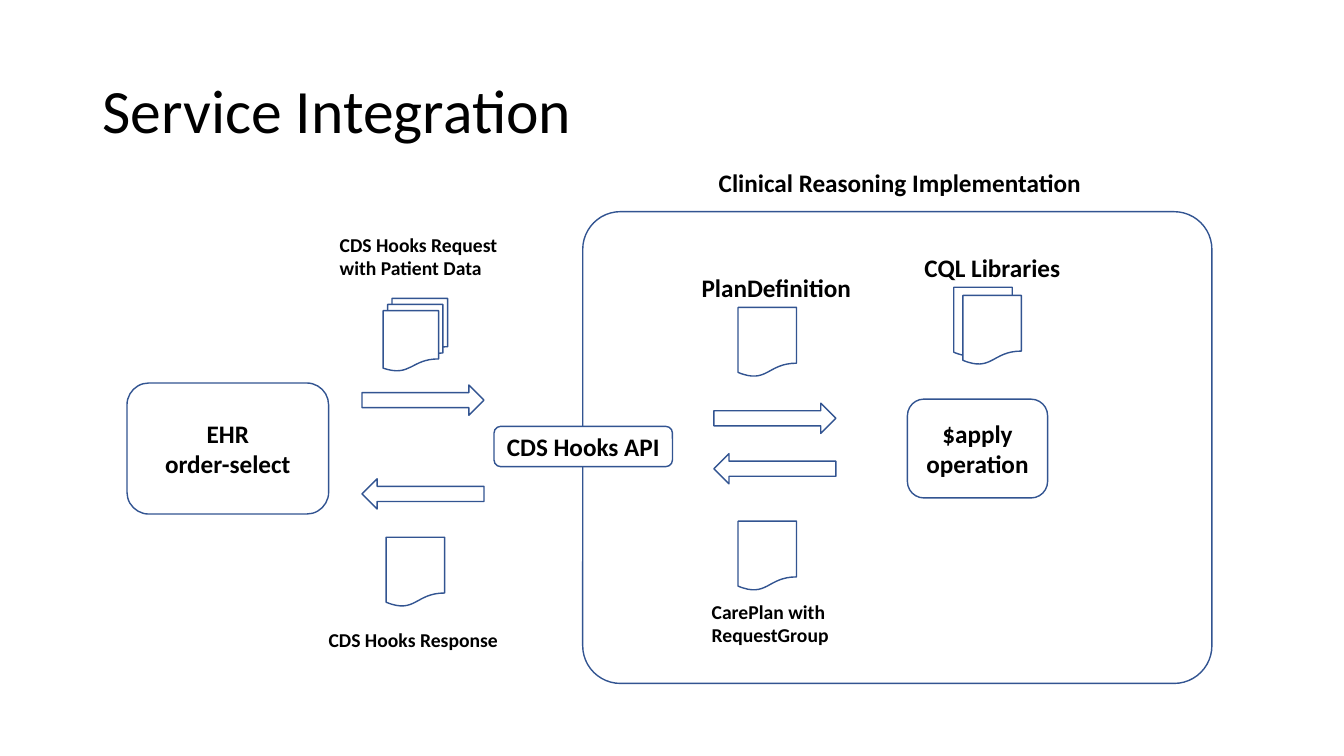
from pptx import Presentation
from pptx.dml.color import RGBColor
from pptx.enum.shapes import MSO_SHAPE
from pptx.enum.text import MSO_ANCHOR, MSO_AUTO_SIZE, PP_ALIGN
from pptx.util import Inches, Pt

WHITE = RGBColor(0xFF, 0xFF, 0xFF)
BLACK = RGBColor(0x00, 0x00, 0x00)
BLUE = RGBColor(0x32, 0x54, 0x91)

# Grid of one-inch columns and rows
COL = ROW = Inches(1)
PAGE = (0.58, 0.69)
ARROW = (1.21, 0.3)


class Board:
    """Holds the style and the current slide."""

    def __init__(self, slide):
        self.shapes = slide.shapes
        self.font = {"name": "Calibri", "size": Pt(18), "bold": True}

    def place(self, left, top, wide, high):
        return [round(left * COL), round(top * ROW),
                round(wide * COL), round(high * ROW)]

    def letter(self, shape, text, align=None, spacing=None, **style):
        frame = shape.text_frame
        frame.text = text
        for para in frame.paragraphs:
            para.alignment = align
            para.line_spacing = spacing
            for key, value in {**self.font, **style}.items():
                setattr(para.font, key, value)
            para.font.color.rgb = BLACK

    def title(self, text, *spot):
        box = self.shapes.add_textbox(*self.place(*spot))
        box.text_frame.word_wrap = True
        box.text_frame.vertical_anchor = MSO_ANCHOR.MIDDLE
        self.letter(box, text, spacing=0.9, size=Pt(44), bold=False)

    def label(self, text, *spot, size=18, wrap=False):
        box = self.shapes.add_textbox(*self.place(*spot))
        self.letter(box, text, size=Pt(size))
        box.text_frame.word_wrap = wrap
        box.text_frame.auto_size = MSO_AUTO_SIZE.SHAPE_TO_FIT_TEXT

    def shape(self, kind, *spot, fill=None):
        item = self.shapes.add_shape(kind, *self.place(*spot))
        item.shadow.inherit = False
        if fill is None:
            item.fill.background()
        else:
            item.fill.solid()
            item.fill.fore_color.rgb = fill
        item.line.color.rgb = BLUE
        item.line.width = Pt(1)
        return item

    def box(self, text, *spot, fill=None):
        item = self.shape(MSO_SHAPE.ROUNDED_RECTANGLE, *spot, fill=fill)
        item.text_frame.word_wrap = True
        item.text_frame.vertical_anchor = MSO_ANCHOR.MIDDLE
        self.letter(item, text, PP_ALIGN.CENTER)

    def panel(self, curve, *spot):
        item = self.shape(MSO_SHAPE.ROUNDED_RECTANGLE, *spot)
        item.adjustments[0] = curve

    def page(self, left, top, fill=None):
        self.shape(MSO_SHAPE.FLOWCHART_DOCUMENT, left, top, *PAGE, fill=fill)

    def arrow(self, left, top, turn=0):
        item = self.shape(MSO_SHAPE.RIGHT_ARROW, left, top, *ARROW)
        item.rotation = turn


def main():
    deck = Presentation()
    deck.slide_width, deck.slide_height = Inches(13.33), Inches(7.5)
    board = Board(deck.slides.add_slide(deck.slide_layouts[6]))

    board.title("Service Integration", 0.92, 0.4, 11.5, 1.45)

    # Record system and its request
    board.box("EHR\norder-select", 1.26, 3.8, 2, 1.3)
    board.shape(MSO_SHAPE.FLOWCHART_MULTIDOCUMENT, 3.8, 2.96, 0.64, 0.72)

    # Reasoning service
    board.panel(0.08, 5.78, 2.1, 6.24, 4.68)
    board.label("Clinical Reasoning Implementation", 7.03, 1.61, 3.82, 0.4)
    board.label("PlanDefinition", 6.86, 2.65, 1.7, 0.4)
    board.label("CQL Libraries", 9.07, 2.45, 1.56, 0.4)
    board.box("$apply operation", 9, 3.96, 1.39, 0.98, fill=WHITE)
    board.box("CDS Hooks API", 4.9, 4.23, 1.77, 0.4, fill=WHITE)

    # Documents: response, plan, care plan, stacked libraries
    for left, top in ((3.83, 5.33), (7.32, 3.05), (7.32, 5.17), (9.46, 2.85)):
        board.page(left, top)
    board.page(9.55, 2.93, fill=WHITE)

    # Arrow pairs: out, then back
    for left, out, back in ((3.59, 3.82, 4.75), (7.08, 4, 4.5)):
        board.arrow(left, out)
        board.arrow(left, back, turn=180)

    # Document captions
    for text, *spot in (
        ("CDS Hooks Request with Patient Data", 3.27, 2.26, 1.92, 0.57),
        ("CDS Hooks Response", 3.16, 6.18, 1.92, 0.34),
        ("CarePlan with RequestGroup", 6.96, 5.9, 1.45, 0.57),
    ):
        board.label(text, *spot, size=14, wrap=True)

    deck.save("out.pptx")


if __name__ == "__main__":
    main()
